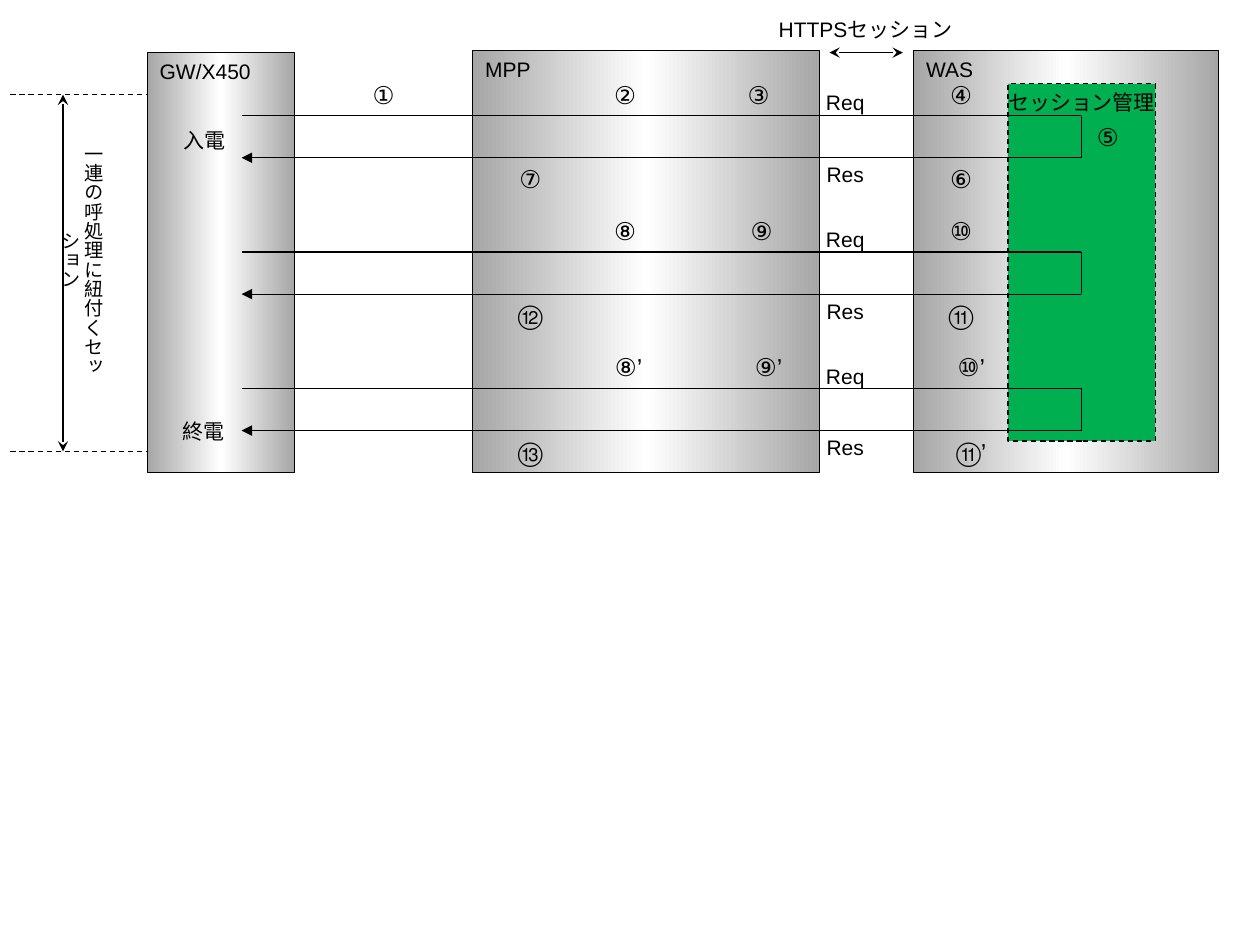
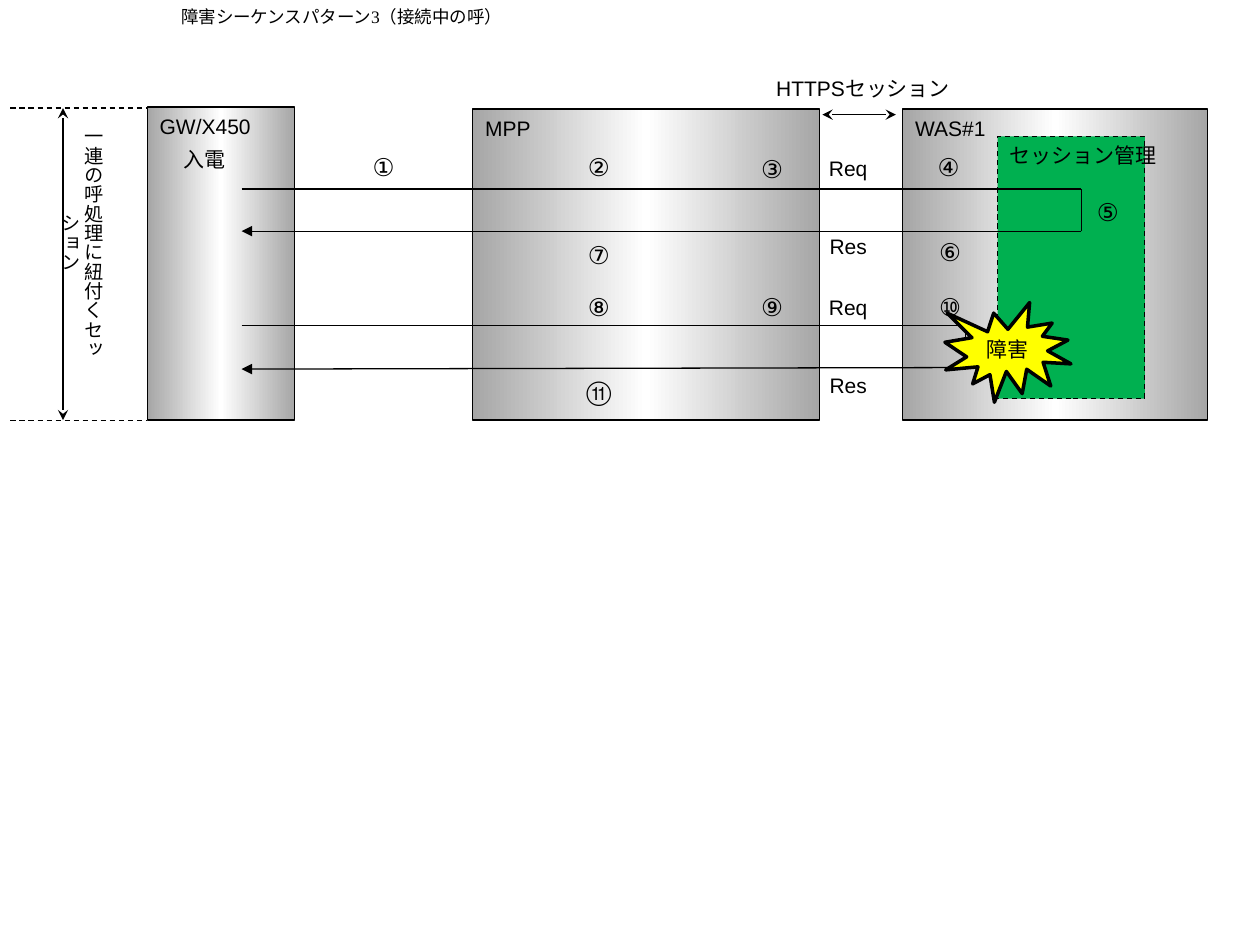
from copy import deepcopy

from lxml import etree
from pptx import Presentation
from pptx.dml.color import RGBColor
from pptx.enum.dml import MSO_LINE
from pptx.enum.shapes import MSO_CONNECTOR, MSO_SHAPE
from pptx.enum.text import MSO_ANCHOR, MSO_AUTO_SIZE, PP_ALIGN
from pptx.oxml.ns import qn
from pptx.util import Cm, Pt

DASH = MSO_LINE.DASH
STRAIGHT = MSO_CONNECTOR.STRAIGHT
RECTANGLE = MSO_SHAPE.RECTANGLE
BURST = MSO_SHAPE.EXPLOSION1
TOP, MIDDLE = MSO_ANCHOR.TOP, MSO_ANCHOR.MIDDLE
LEFT, CENTER = PP_ALIGN.LEFT, PP_ALIGN.CENTER
NO_FIT, GROW = MSO_AUTO_SIZE.NONE, MSO_AUTO_SIZE.SHAPE_TO_FIT_TEXT

COLORS = {"ink": "000000", "edge": "A6A6A6", "shine": "FFFFFF",
          "session": "00B050", "fault": "FFFF00"}
GRADIENT = [(0, "edge"), (0.5, "shine"), (1, "edge")]
FONT, TITLE_FONT, FAULT_FONT = "Arial", "Times New Roman", "Calibri"

CALL_SPAN = "一連の呼処理に紐付くセッション"
HTTPS_SESSION = "HTTPSセッション"
SESSION_STORE = "セッション管理"

SPAN_X = 1.27
SPAN_EDGE = (0.21, 2.97)
LOOP_LEFT = 4.87
LOOP_DEPTH = 0.85
LABEL_SIZE = (1.48, 0.76)
STEP_WIDTH, STEP_HEIGHT = 1.07, 0.85
HTTPS_ARROW_LENGTH = 1.48

NORMAL_SEQUENCE = {
    "servers": [
        ("WAS", 18.42, 1.02, 6.15, 8.5),
        ("GW/X450", 2.97, 1.06, 2.97, 8.47),
        ("MPP", 9.53, 1.02, 6.99, 8.5),
    ],
    "store": (20.32, 1.69, 2.97, 7.2),
    "store_align": CENTER,
    "span": (1.91, 9.1),
    "span_label_top": 2.66,
    "https_arrow": (16.72, 1.06),
    "https_label": (15.29, 0.21),
    "message_x": 16.3,
    "loops": [
        {"top": 2.33, "right": 21.8, "req": 1.69, "res": 3.13},
        {"top": 5.08, "right": 21.8, "req": 4.45, "res": 5.89},
        {"top": 7.83, "right": 21.8, "req": 7.2, "res": 8.64},
    ],
    "calls": [("入電", 3.39, 2.44), ("終電", 3.36, 8.31)],
    "steps": {
        1.48: [("①", 7.2), ("②", 12.07), ("③", 14.76), ("④", 18.84)],
        2.33: [("⑤", 21.8)],
        3.18: [("⑥", 18.84), ("⑦", 10.16)],
        4.23: [("⑧", 12.07), ("⑨", 14.82), ("⑩", 18.84)],
        5.93: [("⑪", 18.84), ("⑫", 10.16)],
        6.98: [("⑧’", 12.04, 1.27), ("⑨’", 14.86, 1.27), ("⑩’", 18.84, 1.48)],
        8.68: [("⑬", 10.16), ("⑪’", 18.84, 1.48)],
    },
}

FAULT_SEQUENCE = {
    "title": "障害シーケンスパターン3（接続中の呼）",
    "servers": [
        ("WAS#1", 18.2, 2.2, 6.15, 6.27),
        ("GW/X450", 2.97, 2.16, 2.97, 6.31),
        ("MPP", 9.53, 2.2, 6.99, 6.27),
    ],
    "store": (20.11, 2.75, 2.97, 5.29),
    "store_align": LEFT,
    "span": (2.18, 8.47),
    "span_label_top": 2.31,
    "https_arrow": (16.58, 2.31),
    "https_label": (15.24, 1.4),
    "message_x": 16.36,
    "loops": [
        {"top": 3.81, "right": 21.8, "req": 3.02, "res": 4.58},
        {"top": 6.56, "right": 19.47, "req": 5.82, "res": 7.39, "slope": 0.03},
    ],
    "calls": [("入電", 3.39, 2.82)],
    "steps": {
        2.95: [("①", 7.2), ("②", 11.54), ("④", 18.59)],
        2.99: [("③", 15.03)],
        3.85: [("⑤", 21.8)],
        4.66: [("⑥", 18.62)],
        4.72: [("⑦", 11.54)],
        5.77: [("⑧", 11.54), ("⑨", 15.03), ("⑩", 18.62)],
        7.45: [("⑪", 11.54)],
    },
    "fault": ("障害", 19.05, 6.1, 2.54, 2.01),
}


def rgb(name):
    return RGBColor.from_string(COLORS[name])


def write(shape, text, size=12, font=FONT, align=CENTER, anchor=TOP, wrap=False):
    frame = shape.text_frame
    frame.text = text
    frame.word_wrap = wrap
    frame.vertical_anchor = anchor
    paragraph = frame.paragraphs[0]
    paragraph.alignment = align
    for run in paragraph.runs:
        run.font.name = font
        run.font.size = Pt(size)
        run.font.color.rgb = rgb("ink")


def add_label(slide, text, x, y, width, height, size=12, vertical=False):
    box = slide.shapes.add_textbox(Cm(x), Cm(y), Cm(width), Cm(height))
    write(box, text, size, wrap=True)
    box.text_frame.auto_size = GROW
    if vertical:
        box.text_frame._txBody.bodyPr.set("vert", "eaVert")


def add_box(slide, place, fill=None, kind=RECTANGLE, line_width=0.75):
    shape = slide.shapes.add_shape(kind, *map(Cm, place))
    shape.shadow.inherit = False
    shape.line.color.rgb = rgb("ink")
    shape.line.width = Pt(line_width)
    if fill:
        shape.fill.solid()
        shape.fill.fore_color.rgb = rgb(fill)
    else:
        shape.fill.gradient()
        shape.fill.gradient_angle = 0
        stop_list = shape._element.spPr.find(".//" + qn("a:gsLst"))
        stop_list.append(deepcopy(stop_list[0]))
        for stop, (position, color) in zip(shape.fill.gradient_stops, GRADIENT):
            stop.position = position
            stop.color.rgb = rgb(color)
    return shape


def add_line(slide, start, end, head=None, tail=None, dash=None):
    connector = slide.shapes.add_connector(STRAIGHT, *map(Cm, start + end))
    line = connector.line
    line.color.rgb = rgb("ink")
    line.width = Pt(0.75)
    if dash:
        line.dash_style = dash
    properties = connector._element.spPr
    outline = properties.find(qn("a:ln"))
    for tag, arrow in (("a:headEnd", head), ("a:tailEnd", tail)):
        if arrow:
            etree.SubElement(outline, qn(tag), type=arrow)
    etree.SubElement(properties, qn("a:effectLst"))


def add_title(slide, text):
    title = slide.shapes.title
    title.left, title.top, title.width, title.height = map(Cm, (0, 0, 13.77, 1.02))
    write(title, text, 10, TITLE_FONT, wrap=True)
    title.text_frame.auto_size = NO_FIT


def add_call_span(slide, sequence):
    top, bottom = sequence["span"]
    add_line(slide, (SPAN_X, top), (SPAN_X, bottom), "stealth", "stealth")
    for y in (top, bottom):
        add_line(slide, (SPAN_EDGE[0], y), (SPAN_EDGE[1], y), dash=DASH)
    add_label(slide, CALL_SPAN, SPAN_X, sequence["span_label_top"], 0.98, 5.79,
              11, vertical=True)


def add_https_session(slide, sequence):
    x, y = sequence["https_arrow"]
    add_line(slide, (x, y), (x + HTTPS_ARROW_LENGTH, y), "stealth", "stealth")
    add_label(slide, HTTPS_SESSION, *sequence["https_label"], 4.32, 0.76)


def add_loop(slide, loop, message_x):
    top, right = loop["top"], loop["right"]
    bottom = top + LOOP_DEPTH
    add_line(slide, (LOOP_LEFT, top), (right, top))
    add_line(slide, (right, top), (right, bottom))
    add_line(slide, (right, bottom), (LOOP_LEFT, bottom + loop.get("slope", 0)),
             tail="triangle")
    add_label(slide, "Req", message_x, loop["req"], *LABEL_SIZE)
    add_label(slide, "Res", message_x, loop["res"], *LABEL_SIZE)


def add_sequence(presentation, sequence):
    layout = presentation.slide_layouts[5 if "title" in sequence else 6]
    slide = presentation.slides.add_slide(layout)
    if "title" in sequence:
        add_title(slide, sequence["title"])
    for name, *place in sequence["servers"]:
        write(add_box(slide, place), name, align=LEFT)
    store = add_box(slide, sequence["store"], "session")
    store.line.dash_style = DASH
    write(store, SESSION_STORE, align=sequence["store_align"])
    add_call_span(slide, sequence)
    add_https_session(slide, sequence)
    for loop in sequence["loops"]:
        add_loop(slide, loop, sequence["message_x"])
    for text, x, y in sequence["calls"]:
        add_label(slide, text, x, y, *LABEL_SIZE)
    for y, steps in sequence["steps"].items():
        for text, x, *width in steps:
            add_label(slide, text, x, y, *(width or [STEP_WIDTH]), STEP_HEIGHT, 14)
    if "fault" in sequence:
        text, *place = sequence["fault"]
        burst = add_box(slide, place, "fault", BURST, 2)
        write(burst, text, font=FAULT_FONT, anchor=MIDDLE)


def main():
    presentation = Presentation()
    presentation.slide_width = Cm(25.4)
    presentation.slide_height = Cm(19.05)
    for sequence in (NORMAL_SEQUENCE, FAULT_SEQUENCE):
        add_sequence(presentation, sequence)
    presentation.save("out.pptx")


if __name__ == "__main__":
    main()
